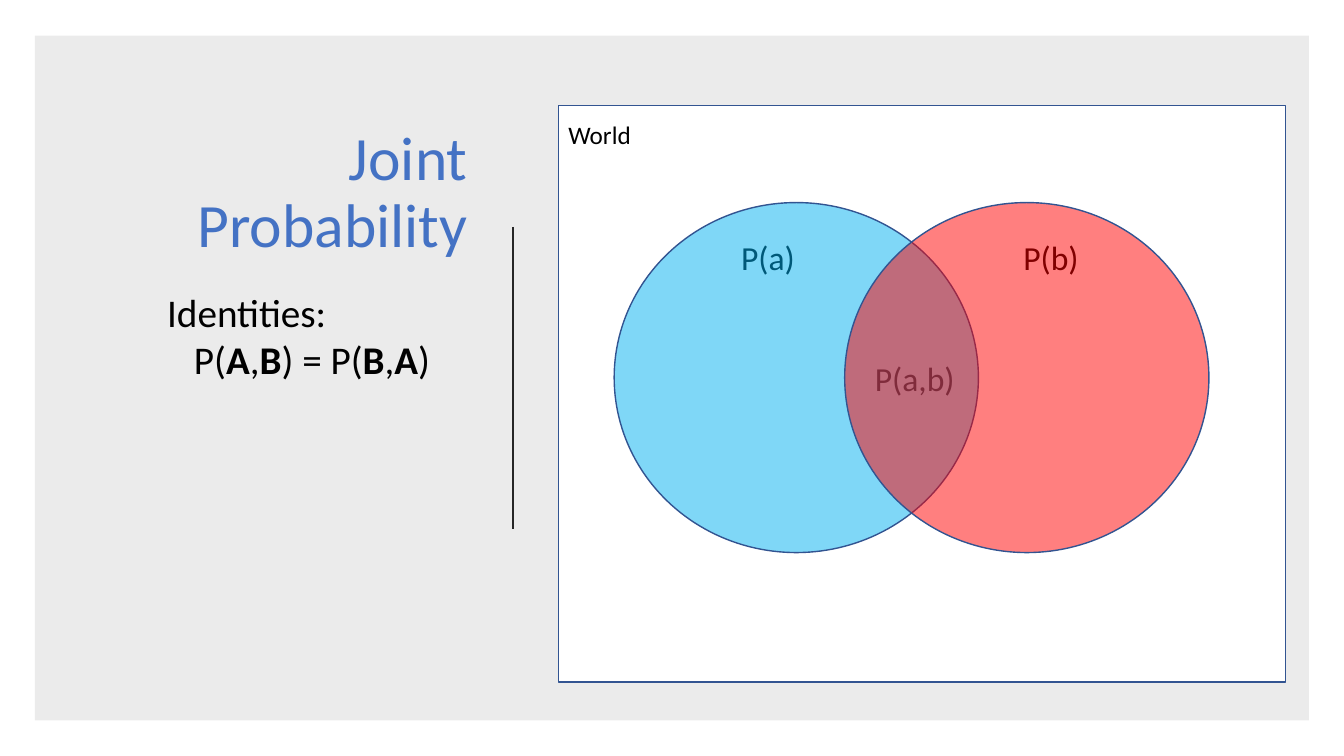
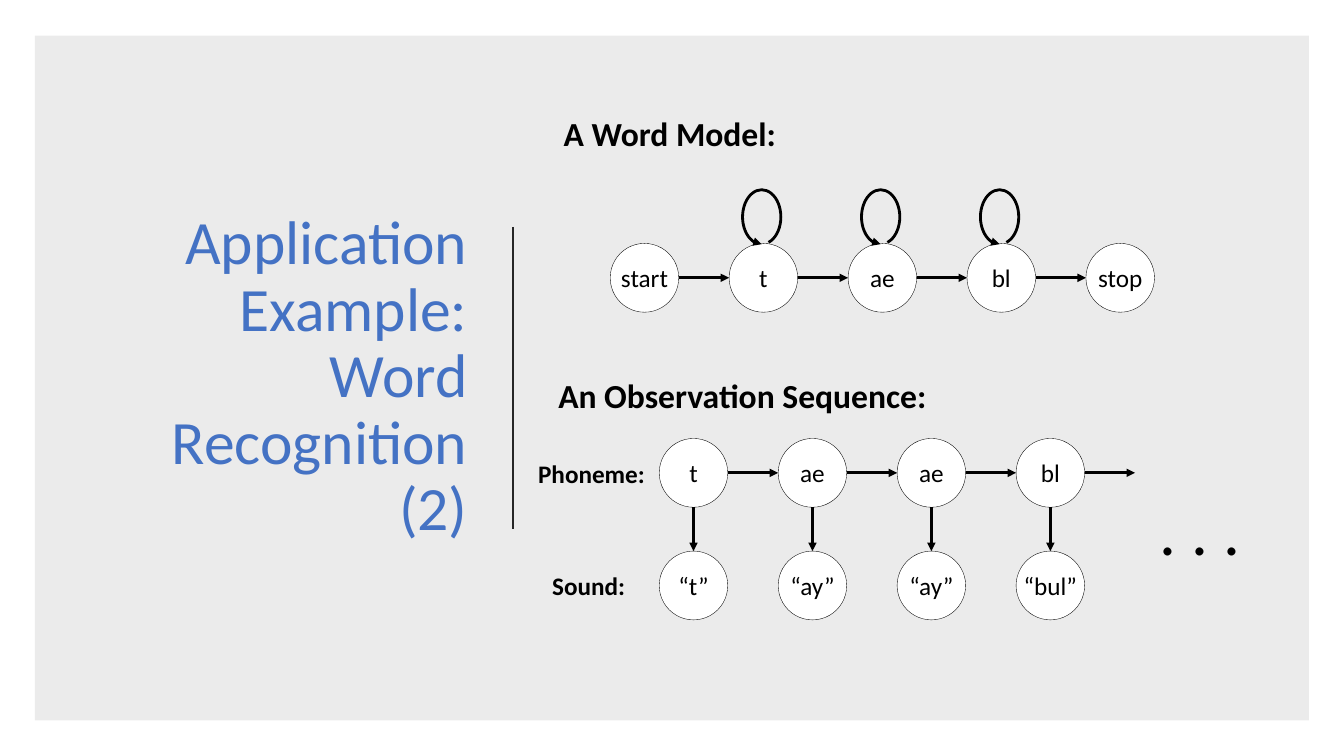
"""Build two slides: a joint probability diagram and a word recognition model."""
import lxml.etree
import pptx
import pptx.dml.color
import pptx.enum.shapes
import pptx.enum.text
import pptx.oxml.ns
import pptx.util

Pt = pptx.util.Pt
RGB = pptx.dml.color.RGBColor.from_string
SHAPE = pptx.enum.shapes.MSO_SHAPE
ALIGN = pptx.enum.text.PP_ALIGN
MIDDLE = pptx.enum.text.MSO_ANCHOR.MIDDLE
NO_FIT = pptx.enum.text.MSO_AUTO_SIZE.NONE
qn = pptx.oxml.ns.qn


class Theme:
    font = "Calibri"
    title, ink, paper, divider = "4472C4", "000000", "FFFFFF", "262626"
    outline, blue, red = "325491", "00B0F0", "FF0000"
    title_size, dots_size, body_size, head_size, label_size = 44, 48, 28, 24, 18


prs = pptx.Presentation()
prs.slide_width = pptx.util.Inches(13.33)
prs.slide_height = pptx.util.Inches(7.5)
X, Y = prs.slide_width / 100, prs.slide_height / 100


def put(s, kind, x, y, w, h, text="", size=Theme.label_size, bold=False,
        fill=None, alpha=100, line=None, weight=1):
    """Place a preset shape, or a text box if kind is None, in percent of the slide."""
    at = [int(v) for v in (x * X, y * Y, w * X, h * Y)]
    sp = s.shapes.add_shape(kind, *at) if kind else s.shapes.add_textbox(*at)
    tf = sp.text_frame
    tf.word_wrap = False
    if kind:
        sp.shadow.inherit = False
        tf.margin_left = tf.margin_right = tf.margin_top = tf.margin_bottom = 0
        tf.vertical_anchor = MIDDLE
        sp.fill.background()
        sp.line.fill.background()
    if fill:
        sp.fill.solid()
        sp.fill.fore_color.rgb = RGB(fill)
        if alpha < 100:
            clr = sp._element.spPr.find(qn("a:solidFill"))[0]
            lxml.etree.SubElement(clr, qn("a:alpha"), val=str(alpha * 1000))
    if line:
        sp.line.color.rgb = RGB(line)
        sp.line.width = Pt(weight)
    if text:
        tf.text = text
    for p in tf.paragraphs:
        p.alignment = ALIGN.CENTER if kind else ALIGN.LEFT
        p.font.name, p.font.size, p.font.bold = Theme.font, Pt(size), bold
        p.font.color.rgb = RGB(Theme.ink)
    return sp


def connect(s, x1, y1, x2, y2, color=Theme.ink, weight=2, arrow=True):
    """Draw a straight line between two points in percent of the slide."""
    ends = [int(v) for v in (x1 * X, y1 * Y, x2 * X, y2 * Y)]
    ln = s.shapes.add_connector(pptx.enum.shapes.MSO_CONNECTOR.STRAIGHT, *ends)
    ln.line.color.rgb = RGB(color)
    ln.line.width = Pt(weight)
    if arrow:
        lxml.etree.SubElement(ln.line._get_or_add_ln(), qn("a:tailEnd"), type="triangle")
    lxml.etree.SubElement(ln._element.spPr, qn("a:effectLst"))


slides = []
for title, height in (("Joint Probability", 23.3),
                      ("Application Example: Word Recognition (2)", 71.9)):
    s = prs.slides.add_slide(prs.slide_layouts[5])
    band = put(s, SHAPE.RECTANGLE, 2.6, 4.7, 94.8, 90.6, fill=Theme.ink, alpha=8)
    s.shapes._spTree.insert(2, band._element)
    connect(s, 38.2, 30, 38.2, 70, Theme.divider, 1.5, arrow=False)
    sp = s.shapes.title
    sp.left, sp.top = int(6.9 * X), int(14 * Y)
    sp.width, sp.height = int(28.65 * X), int(height * Y)
    tf = sp.text_frame
    tf.text = title
    tf.word_wrap, tf.auto_size, tf.vertical_anchor = True, NO_FIT, MIDDLE
    p = tf.paragraphs[0]
    p.alignment, p.line_spacing = ALIGN.RIGHT, 0.9
    p.font.name, p.font.size = Theme.font, Pt(Theme.title_size)
    p.font.color.rgb = RGB(Theme.title)
    slides.append(s)

s = slides[0]
put(s, SHAPE.RECTANGLE, 41.55, 14, 54.1, 76.2, fill=Theme.paper, line=Theme.outline)
put(s, None, 41.55, 15.1, 6.2, 5.4, "World")
for x, y, w, text in ((54.4, 30.7, 5.55, "P(a)"), (75.4, 30.7, 5.7, "P(b)"),
                      (64.35, 46.7, 8.1, "P(a,b)")):
    put(s, None, x, y, w, 6.7, text, Theme.head_size)
tf = put(s, None, 11.7, 37.5, 21.3, 13.9, "Identities:\n", Theme.body_size).text_frame
p = tf.paragraphs[1]
p._p.get_or_add_pPr().set("marL", str(int(2 * X)))
for text in ("P(", "A", ",", "B", ") = P(", "B", ",", "A", ")"):
    r = p.add_run()
    r.text = text
    r.font.bold = text in "AB"
for x, color in ((45.7, Theme.blue), (62.85, Theme.red)):
    put(s, SHAPE.OVAL, x, 26.8, 27.1, 46.3, fill=color, alpha=50, line=Theme.outline)

s = slides[1]
for x, y, w, h, text, size in (
        (41.2, 14.3, 17.5, 6.7, "A Word Model:", Theme.head_size),
        (40.8, 48.9, 29.2, 6.7, "An Observation Sequence:", Theme.head_size),
        (39.3, 59.9, 9.5, 5.4, "Phoneme:", Theme.label_size),
        (40.35, 74.8, 7, 5.4, "Sound:", Theme.label_size)):
    put(s, None, x, y, w, h, text, size, bold=True)
put(s, None, 85.5, 63.9, 7.65, 12.1, ". . .", Theme.dots_size)

node_w, node_h, pitch = 5.1, 9.1, 8.85
model_x, phoneme_x = 45.4, 49.05
model_y, phoneme_y, sound_y = 32.2, 58, 72.9
for left, top, names, arrows in (
        (model_x, model_y, ("start", "t", "ae", "bl", "stop"), 4),
        (phoneme_x, phoneme_y, ("t", "ae", "ae", "bl"), 4),
        (phoneme_x, sound_y, ("“t”", "“ay”", "“ay”", "“bul”"), 0)):
    for i, name in enumerate(names):
        x = left + i * pitch
        put(s, SHAPE.OVAL, x, top, node_w, node_h, name,
            fill=Theme.paper, line=Theme.ink, weight=0.25)
        if i < arrows:
            mid = top + node_h / 2
            connect(s, x + node_w, mid, x + pitch, mid)
        if top == phoneme_y:
            mid = x + node_w / 2
            connect(s, mid, top + node_h, mid, sound_y)

for i in (1, 2, 3):
    sp = put(s, SHAPE.ARC, model_x + i * pitch + 1, 25.1, 2.85, 7.2,
             line=Theme.ink, weight=2)
    sp.adjustments[0], sp.adjustments[1] = 54, 44.95
    lxml.etree.SubElement(sp.line._get_or_add_ln(), qn("a:headEnd"), type="triangle")

prs.save("out.pptx")
